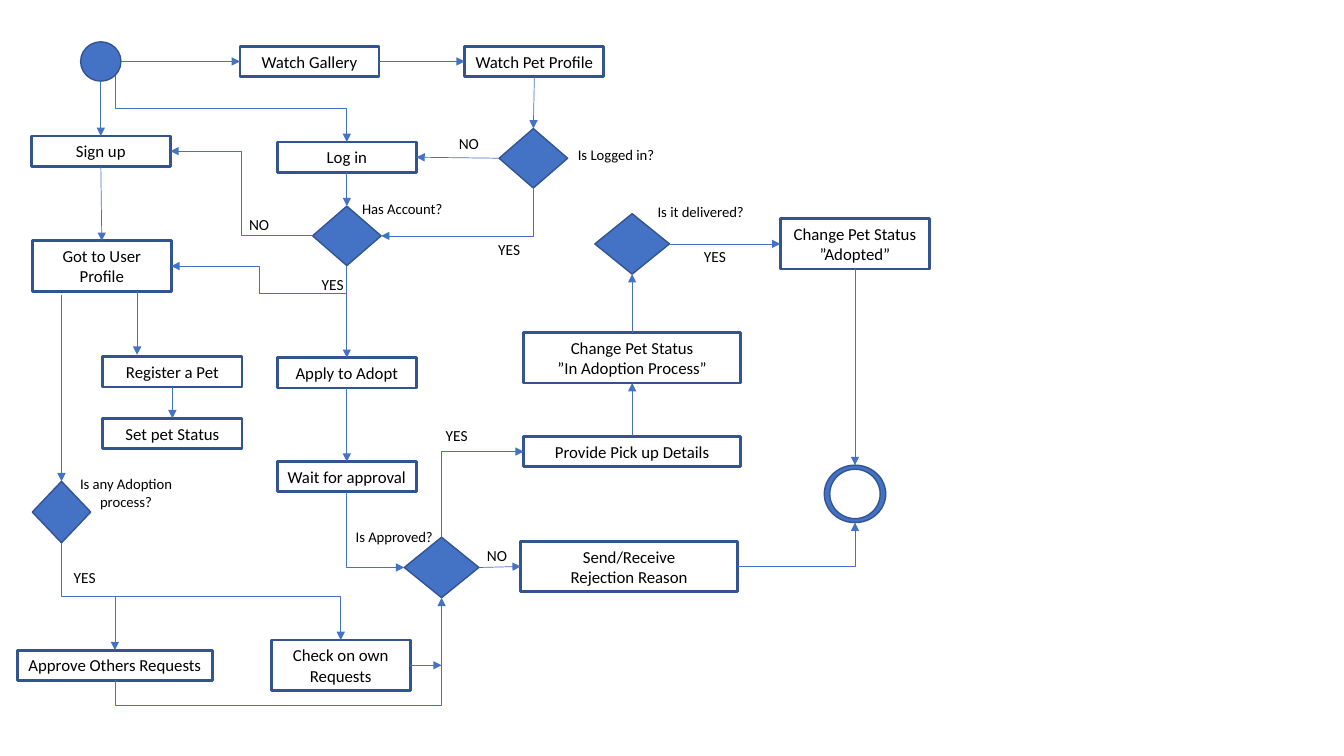
from lxml import etree
from pptx import Presentation
from pptx import util as u
from pptx.dml import color
from pptx.enum import shapes, text
from pptx.oxml import ns

COLORS = {"fill": "4472C4", "edge": "325491", "ink": "000000", "paper": "FFFFFF"}
SIDES = {"t": (0.5, 0), "l": (0, 0.5), "b": (0.5, 1), "r": (1, 0.5)}
BOX, DIAMOND, OVAL = (shapes.MSO_SHAPE.RECTANGLE, shapes.MSO_SHAPE.DIAMOND,
                      shapes.MSO_SHAPE.OVAL)


def rgb(name):
    """Return the named colour."""
    return color.RGBColor.from_string(COLORS[name])


def write(sp, txt, size=12, font="Calibri", ink="ink", inset=0.07):
    """Fill a shape with centred text, one paragraph per line."""
    tf = sp.text_frame
    tf.word_wrap = True
    tf.vertical_anchor = text.MSO_ANCHOR.MIDDLE
    tf.margin_left = tf.margin_right = u.Inches(inset)
    tf.margin_top = tf.margin_bottom = 0
    for i, line in enumerate(txt.split("\n")):
        p = tf.paragraphs[0] if i == 0 else tf.add_paragraph()
        p.alignment = text.PP_ALIGN.CENTER
        r = p.add_run()
        r.text = line
        r.font.size, r.font.name = u.Pt(size), font
        r.font.color.rgb = rgb(ink)


class Flowchart:
    """Draws nodes, labels and arrows on a grid of tenth-inch cells."""

    def __init__(self, slide, cell=u.Inches(0.1)):
        """Keep the slide and the grid cell."""
        self.s, self.cell, self.nodes = slide, cell, {}

    def frame(self, cx, cy, w, h):
        """Turn a centre and size in cells into left, top, width, height."""
        return [round(v * self.cell) for v in (cx - w / 2, cy - h / 2, w, h)]

    def node(self, name, kind, cx, cy, w, h, fill=None, weight=1):
        """Add a named preset shape."""
        sp = self.s.shapes.add_shape(kind, *self.frame(cx, cy, w, h))
        sp.shadow.inherit = False
        if fill:
            sp.fill.solid()
            sp.fill.fore_color.rgb = rgb(fill)
        else:
            sp.fill.background()
        sp.line.color.rgb = rgb("edge")
        sp.line.width = u.Pt(weight)
        self.nodes[name] = sp
        return sp

    def step(self, name, txt, cx, cy, w=13.8, h=3):
        """Add an outlined process box."""
        write(self.node(name, BOX, cx, cy, w, h, weight=2), txt)

    def label(self, txt, cx, cy, w=4.9, h=2.9, size=11):
        """Add a free text label."""
        write(self.s.shapes.add_textbox(*self.frame(cx, cy, w, h)), txt, size)

    def point(self, end):
        """Locate a (node, side) or a (column, row) end."""
        if end[0] in self.nodes:
            sp, (fx, fy) = self.nodes[end[0]], SIDES[end[1]]
            return round(sp.left + fx * sp.width), round(sp.top + fy * sp.height)
        return tuple(round(v * self.cell) for v in end)

    def arrow(self, start, end, route="", adj=None):
        """Join two ends, straight or along a route of H and V legs."""
        (x1, y1), (x2, y2) = self.point(start), self.point(end)
        kind = shapes.MSO_CONNECTOR.ELBOW if route else shapes.MSO_CONNECTOR.STRAIGHT
        c = self.s.shapes.add_connector(kind, x1, y1, x2, y2)
        c.line.color.rgb = rgb("fill")
        c.line.width = u.Pt(0.5)
        pr = c._element.spPr
        etree.SubElement(pr.find(ns.qn("a:ln")), ns.qn("a:tailEnd"), type="triangle")
        etree.SubElement(pr, ns.qn("a:effectLst"))
        if route:
            self.bend(c, x2 - x1, y2 - y1, route, adj)
        else:
            self.glue(c.begin_connect, start)
            self.glue(c.end_connect, end)

    def glue(self, connect, end):
        """Attach a connector end to a four-sided node."""
        sp = self.nodes.get(end[0])
        if sp is not None and sp.auto_shape_type != OVAL:
            connect(sp, list(SIDES).index(end[1]))

    def bend(self, c, dx, dy, route, adj):
        """Set an elbow's preset, middle leg and turn."""
        geom = c._element.spPr.find(ns.qn("a:prstGeom"))
        geom.set("prst", f"bentConnector{len(route)}")
        if adj is not None:
            etree.SubElement(geom.find(ns.qn("a:avLst")), ns.qn("a:gd"),
                             name="adj1", fmla=f"val {round(adj * 100000)}")
        if route[0] == "V":
            mx, my = c.left + c.width // 2, c.top + c.height // 2
            w, h = abs(dy), abs(dx)
            c.left, c.top, c.width, c.height = mx - w // 2, my - h // 2, w, h
            turn = 270 if dx > 0 and dy > 0 else 90
            xfrm = c._element.spPr.find(ns.qn("a:xfrm"))
            xfrm.set("rot", str(turn * 60000))
            xfrm.set("flipH", str(int(turn == 270 or dy < 0)))
            xfrm.set("flipV", str(int(turn == 90 and dx > 0)))


STEPS = [
    ("gallery", "Watch Gallery", 30.7, 6.1),
    ("profile", "Watch Pet Profile", 53, 6.1),
    ("signup", "Sign up", 10, 15),
    ("login", "Log in", 34.4, 15.6),
    ("user", "Got to User Profile", 10.1, 26.4, 13.8, 5),
    ("register", "Register a Pet", 17.1, 36.9),
    ("status", "Set pet Status", 17.1, 43),
    ("apply", "Apply to Adopt", 34.4, 37),
    ("wait", "Wait for approval", 34.4, 47.3),
    ("others", "Approve Others Requests", 11.4, 66, 19.4),
    ("own", "Check on own Requests", 33.8, 66, 13.8, 5),
    ("reject", "Send/Receive\nRejection Reason", 62.4, 56.2, 21.5, 5),
    ("pickup", "Provide Pick up Details", 62.7, 44.8, 21.5),
    ("adopting", "Change Pet Status\n”In Adoption Process”", 62.7, 35.5, 21.5, 5),
    ("adopted", "Change Pet Status\n”Adopted”", 84.8, 24.2, 14.8, 5),
]
MARKS = [
    ("start", OVAL, 10, 6.1, 4, 3.9, "fill"),
    ("logged", DIAMOND, 52.9, 15.7, 6.8, 5.9, "fill"),
    ("account", DIAMOND, 34.4, 23.4, 6.8, 5.9, "fill"),
    ("process", DIAMOND, 6.1, 50.8, 5.8, 6.1, "fill"),
    ("approved", DIAMOND, 43.8, 56.3, 7.4, 6, "fill"),
    ("delivered", DIAMOND, 62.7, 24.2, 7.4, 6, "fill"),
    ("end", OVAL, 84.8, 49, 6.1, 5.7, "fill"),
    ("end core", OVAL, 84.8, 49, 5, 4.9, "paper"),
]
ARROWS = [
    (("start", "r"), ("gallery", "l")),
    (("gallery", "r"), ("profile", "l")),
    (("start", "b"), ("signup", "t")),
    ((11.4, 7.5), ("login", "t"), "VHV"),
    (("profile", "b"), ("logged", "t")),
    (("logged", "l"), ("login", "r")),
    (("logged", "b"), ("account", "r"), "VH"),
    (("login", "b"), ("account", "t")),
    (("account", "l"), ("signup", "r"), "HVH"),
    (("account", "b"), ("apply", "t")),
    ((34.4, 29.1), ("user", "r"), "HVH"),
    (("signup", "b"), ("user", "t")),
    ((13.6, 28.9), (13.6, 35.2)),
    (("register", "b"), ("status", "t")),
    ((6.1, 29.3), ("process", "t")),
    (("process", "b"), ("others", "t"), "VHV"),
    ((10.1, 59.2), ("own", "t"), "HV"),
    (("others", "b"), ("approved", "b"), "VHV", -0.3),
    (("own", "r"), (43.8, 66)),
    (("apply", "b"), ("wait", "t")),
    (("wait", "b"), ("approved", "l"), "VH"),
    (("approved", "r"), ("reject", "l")),
    (("approved", "t"), ("pickup", "l"), "VH"),
    (("pickup", "t"), ("adopting", "b")),
    (("adopting", "t"), ("delivered", "b")),
    (("delivered", "r"), ("adopted", "l")),
    (("adopted", "b"), ("end", "t")),
    (("reject", "r"), ("end", "b"), "HV"),
]
ANSWERS = {
    "YES": [(50.5, 24.7), (33, 28.2), (8.4, 57.3), (70.9, 25.4), (45.3, 43.2)],
    "NO": [(46.5, 14.2), (25.7, 22.3), (49.3, 55.1)],
}
QUESTIONS = [
    ("Is Logged in?", 61.1, 15.3),
    ("Has Account?", 39.9, 20.7),
    ("Is any Adoption process?", 12.5, 48.9),
    ("Is Approved?", 39.1, 53.2),
    ("Is it delivered?", 69.5, 21),
]

prs = Presentation()
prs.slide_width, prs.slide_height = u.Inches(13.33), u.Inches(7.5)
chart = Flowchart(prs.slides.add_slide(prs.slide_layouts[6]))
for step in STEPS:
    chart.step(*step)
for mark in MARKS:
    chart.node(*mark)
for arrow in ARROWS:
    chart.arrow(*arrow)
for answer, spots in ANSWERS.items():
    for spot in spots:
        chart.label(answer, *spot)
for question in QUESTIONS:
    chart.label(*question, w=13.8, size=10.5)
prs.save("out.pptx")
